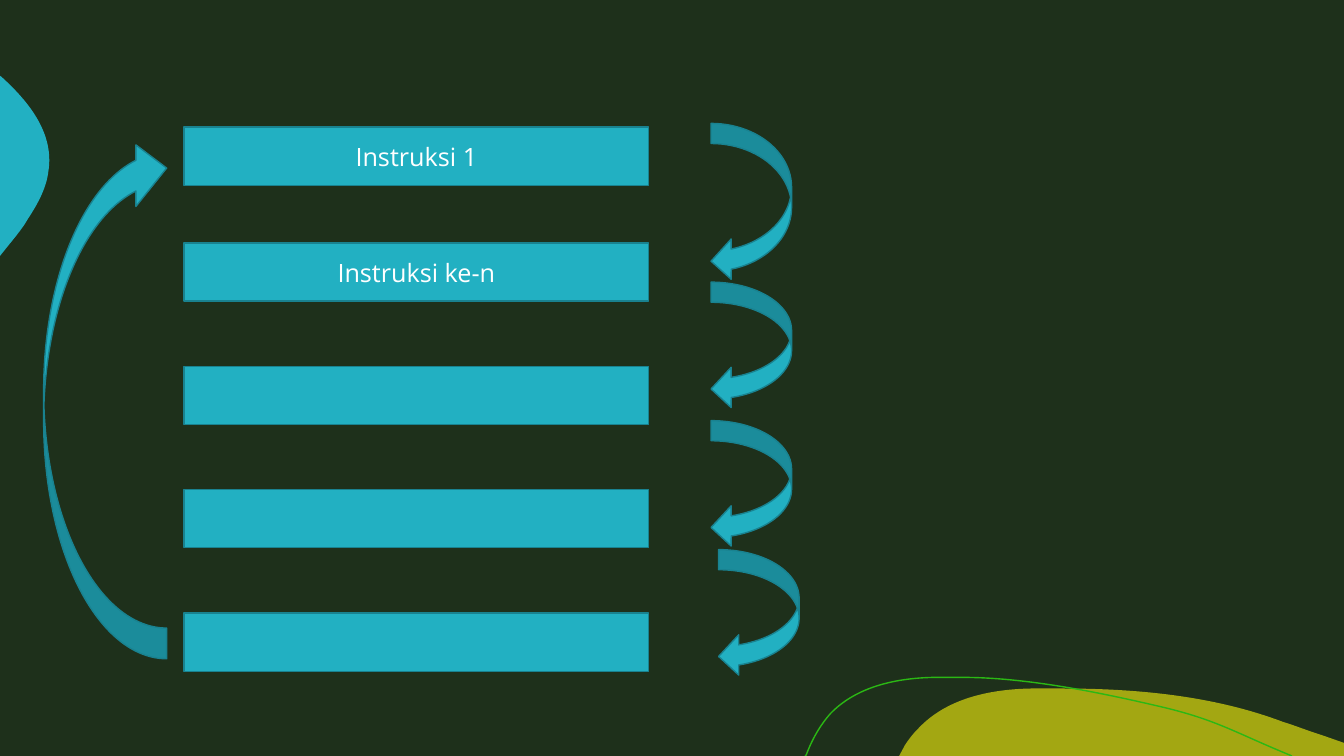
from lxml import etree
from pptx import Presentation
from pptx.dml.color import RGBColor as Rgb
from pptx.enum.shapes import MSO_SHAPE as Kind
from pptx.enum.text import MSO_ANCHOR as Anchor, PP_ALIGN as Align
from pptx.oxml.ns import qn
from pptx.util import Cm, Pt

DARK, TEAL, EDGE, OLIVE, GREEN, WHITE = (
    "1E301B", "22B0C2", "198290", "A3A712", "2BB814", "FFFFFF")

BLOBS = [
    (OLIVE, None, [
        (26.77, 17.35), (28.65, 17.35, 30.58, 17.53, 32.33, 18.19),
        (32.66, 18.29, 32.97, 18.42, 33.3, 18.52), (33.87, 18.72),
        (33.87, 19.05), (22.66, 19.05), (22.81, 18.77),
        (22.91, 18.62, 23.01, 18.49, 23.14, 18.36),
        (23.85, 17.6, 24.94, 17.37, 25.98, 17.35),
        (26.24, 17.35, 26.49, 17.35, 26.77, 17.35)]),
    (TEAL, None, [
        (0, 1.91), (0.03, 1.93), (0.76, 2.59, 1.37, 3.38, 1.22, 4.32),
        (1.17, 4.75, 0.94, 5.16, 0.69, 5.54),
        (0.61, 5.69, 0.43, 5.92, 0.2, 6.2), (0, 6.45)]),
    (None, GREEN, [
        (20.29, 19.05), (20.32, 19.02),
        (20.47, 18.62, 20.68, 18.26, 20.93, 17.98),
        (21.59, 17.3, 22.58, 17.09, 23.52, 17.07), (24.26, 17.07),
        (25.96, 17.07, 27.94, 17.5, 29.34, 17.83),
        (30.71, 18.16, 31.14, 18.47, 32.56, 19.05)]),
]
STEPS = [("Instruksi 1", 3.2), ("Instruksi ke-n", 6.12),
         ("", 9.23), ("", 12.33), ("", 15.45)]
ARROWS = [
    (17.92, 3.11, 2.03, 3.98, 0), (17.92, 7.11, 2.03, 3.2, 0),
    (17.92, 10.6, 2.03, 3.2, 0), (18.11, 13.85, 2.03, 3.2, 0),
    (1.1, 3.46, 3.1, 13.14, 180),
]
FONT = {"name": "Open Sans", "size": Pt(18)}


def rgb(code):
    return Rgb.from_string(code)


def paint(shape, fill, line):
    shape.shadow.inherit = False
    for part, code in ((shape.fill, fill), (shape.line.fill, line)):
        if code:
            part.solid()
            part.fore_color.rgb = rgb(code)
        else:
            part.background()
    if line:
        shape.line.width = Pt(1)


def trace(parts, closed):
    first, *rest = [(Cm(p[-2]), Cm(p[-1])) for p in parts]
    pen = slide.shapes.build_freeform(*first)
    pen.add_line_segments(rest, close=closed)
    shape = pen.convert_to_shape()
    lines = list(shape._element.iter(qn("a:lnTo")))
    for line, part in zip(lines, parts[1:]):
        if len(part) == 6:
            bend = etree.Element(qn("a:cubicBezTo"))
            for x, y in zip(part[::2], part[1::2]):
                etree.SubElement(bend, qn("a:pt"), x=str(Cm(x) - shape.left),
                                 y=str(Cm(y) - shape.top))
            line.getparent().replace(line, bend)
    return shape


def add(kind, *box):
    shape = slide.shapes.add_shape(kind, *map(Cm, box))
    paint(shape, TEAL, EDGE)
    return shape


deck = Presentation()
deck.slide_width, deck.slide_height = Cm(33.87), Cm(19.05)
slide = deck.slides.add_slide(deck.slide_layouts[6])
slide.background.fill.solid()
slide.background.fill.fore_color.rgb = rgb(DARK)

for fill, line, parts in BLOBS:
    paint(trace(parts, bool(fill)), fill, line)

for text, top in STEPS:
    bar = add(Kind.RECTANGLE, 4.64, top, 11.71, 1.47)
    if text:
        bar.text_frame.vertical_anchor = Anchor.MIDDLE
        para = bar.text_frame.paragraphs[0]
        para.alignment = Align.CENTER
        run = para.add_run()
        run.text = text
        run.font.color.rgb = rgb(WHITE)
        for key, value in FONT.items():
            setattr(run.font, key, value)

for *box, turn in ARROWS:
    add(Kind.CURVED_LEFT_ARROW, *box).rotation = turn

deck.save("out.pptx")
